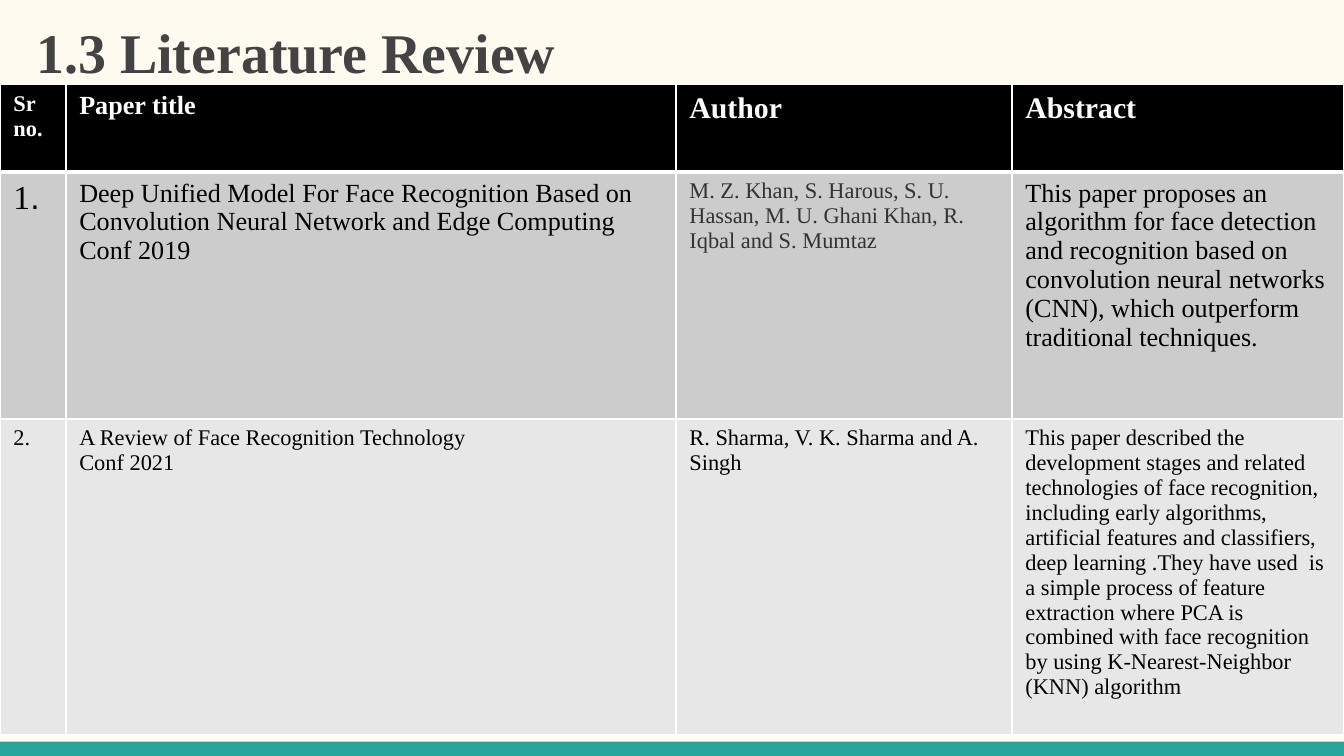
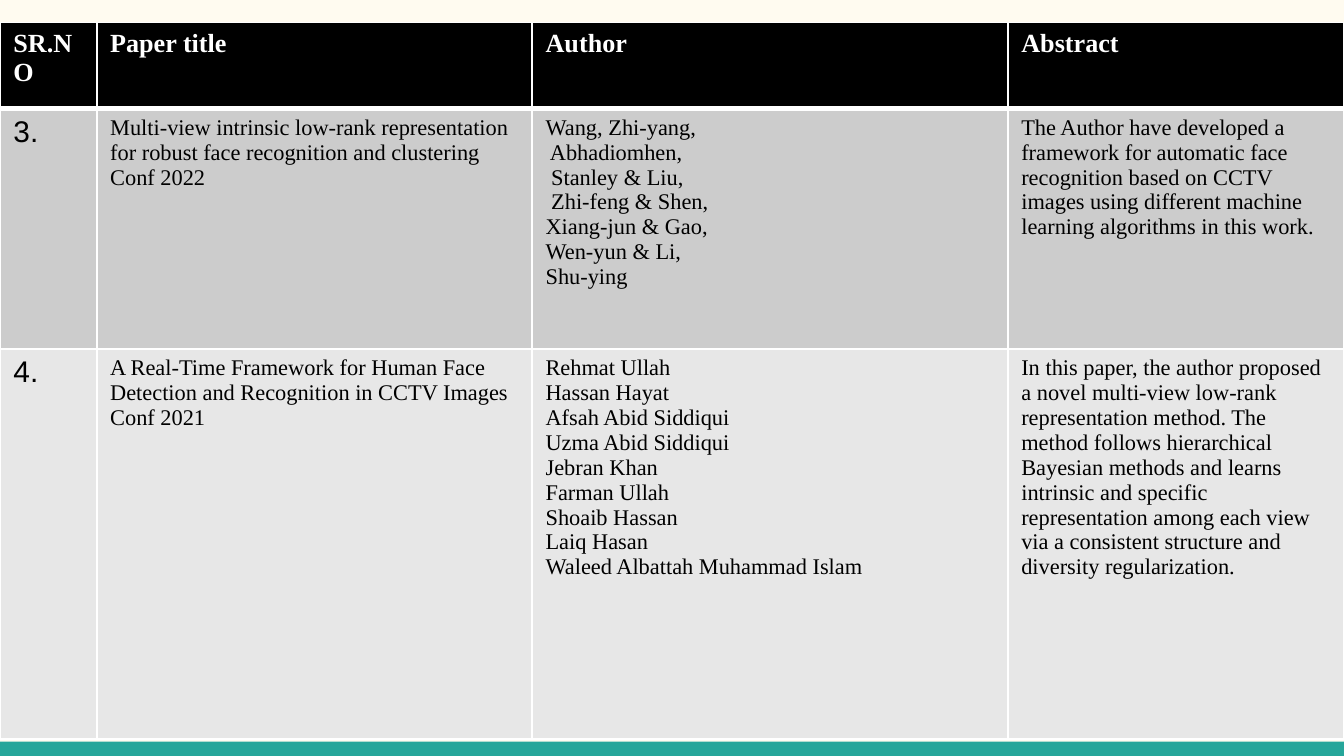
from collections import namedtuple
from dataclasses import dataclass

from pptx import Presentation
from pptx.dml.color import RGBColor as RGB
from pptx.enum.shapes import MSO_SHAPE as SHAPE
from pptx.oxml import parse_xml
from pptx.oxml.ns import nsdecls
from pptx.util import Inches, Pt


@dataclass(frozen=True)
class Theme:
    paper: str = "FFFBF0"
    band: str = "26A69A"
    title: str = "434343"
    ink: str = "000000"
    soft_ink: str = "333333"
    white: str = "FFFFFF"
    row_fills: tuple = ("000000", "CCCCCC", "E7E7E7")
    serif: str = "Times New Roman"
    sans: str = "Arial"
    title_pt: int = 30
    number_pt: int = 18
    large_pt: int = 16
    medium_pt: int = 14
    small_pt: int = 12
    rule_pt: int = 1
    header_rule_pt: int = 3


T = Theme()
Cell = namedtuple("Cell", "text size font color", defaults=(T.serif, None))

prs = Presentation()
prs.slide_width, prs.slide_height = Inches(10), Inches(5.625)
X, Y = prs.slide_width / 100, prs.slide_height / 100  # one percent of the slide


def style(p, size, font, color, bold):
    p.font.size, p.font.name, p.font.bold = Pt(size), font, bold
    p.font.color.rgb = RGB.from_string(color)


def add_borders(cell, row):
    """White rules on all four sides, thicker where the header meets the body."""
    widths = dict.fromkeys("LRTB", T.rule_pt)
    if row < 2:
        widths["B" if row == 0 else "T"] = T.header_rule_pt
    tcPr = cell._tc.get_or_add_tcPr()
    for i, (side, width) in enumerate(widths.items()):
        tcPr.insert(i, parse_xml(
            f'<a:ln{side} {nsdecls("a")} w="{Pt(width)}"><a:solidFill>'
            f'<a:srgbClr val="{T.white}"/></a:solidFill></a:ln{side}>'))


# Each review: title, table top, column widths and row heights in percent, cells
reviews = [
    ("1.3 Literature Review", 11.2, (4.9, 45.4, 25, 24.7), (11.56, 32.71, 41.78), [
        [Cell("Sr no.", T.small_pt), Cell("Paper title", T.medium_pt),
         Cell("Author", T.large_pt), Cell("Abstract", T.large_pt)],
        [Cell("1", T.number_pt),
         Cell("Deep Unified Model For Face Recognition Based on Convolution "
              "Neural Network and Edge Computing\nConf 2019", T.medium_pt),
         Cell("M. Z. Khan, S. Harous, S. U. Hassan, M. U. Ghani Khan, R. Iqbal "
              "and S. Mumtaz", T.small_pt, color=T.soft_ink),
         Cell("This paper proposes an algorithm for face detection and recognition "
              "based on convolution neural networks (CNN), which outperform "
              "traditional techniques.", T.medium_pt)],
        [Cell("2.", T.small_pt),
         Cell("A Review of Face Recognition Technology\nConf 2021", T.small_pt),
         Cell("R. Sharma, V. K. Sharma and A. Singh", T.small_pt),
         Cell("This paper described the development stages and related technologies "
              "of face recognition, including early algorithms, artificial features "
              "and classifiers, deep learning .They have used  is a simple process "
              "of feature extraction where PCA is combined with face recognition by "
              "using K-Nearest-Neighbor (KNN) algorithm", T.small_pt)],
    ]),
    (None, 3, (7.2, 32.4, 35.4, 25), (11.38, 31.82, 51.56), [
        [Cell(text, T.medium_pt)
         for text in ("SR.NO", "Paper title", "Author", "Abstract")],
        [Cell("3.", T.large_pt, T.sans),
         Cell("Multi-view intrinsic low-rank representation for robust face "
              "recognition and clustering\nConf 2022", T.small_pt),
         Cell("Wang, Zhi‐yang,\n Abhadiomhen,\n Stanley & Liu,\n Zhi‐feng & Shen,\n"
              "Xiang‐jun & Gao,\nWen‐yun & Li,\nShu‐ying", T.small_pt),
         Cell("The Author have developed a framework for automatic face recognition "
              "based on CCTV images using different machine learning algorithms in "
              "this work.", T.small_pt)],
        [Cell("4.", T.large_pt, T.sans),
         Cell("A Real-Time Framework for Human Face Detection and Recognition in "
              "CCTV Images Conf 2021", T.small_pt),
         Cell("Rehmat Ullah\nHassan Hayat\nAfsah Abid Siddiqui\nUzma Abid Siddiqui\n"
              "Jebran Khan\nFarman Ullah\nShoaib Hassan\nLaiq Hasan\n"
              "Waleed Albattah Muhammad Islam", T.small_pt),
         Cell("In this paper, the author proposed a novel multi-view low-rank "
              "representation method. The method follows hierarchical Bayesian "
              "methods and learns intrinsic and specific representation among each "
              "view via a consistent structure and diversity regularization.",
              T.small_pt)],
    ]),
]

fill = prs.slide_master.background.fill
fill.solid()
fill.fore_color.rgb = RGB.from_string(T.paper)

tables = []
for title, top, widths, heights, rows in reviews:
    s = prs.slides.add_slide(prs.slide_layouts[6])

    band = s.shapes.add_shape(SHAPE.RECTANGLE, 0, int(98.1 * Y), int(100 * X), int(1.9 * Y))
    band.shadow.inherit = False
    band.fill.solid()
    band.fill.fore_color.rgb = RGB.from_string(T.band)
    band.line.fill.background()

    if title:
        sp = s.shapes.add_textbox(int(1.7 * X), int(0.5 * Y), int(93.2 * X), int(12 * Y))
        tf = sp.text_frame
        tf.word_wrap = True
        tf.margin_left = tf.margin_right = tf.margin_top = tf.margin_bottom = Inches(0.1)
        tf.text = title
        style(tf.paragraphs[0], T.title_pt, T.serif, T.title, True)

    table = s.shapes.add_table(len(rows), len(widths), 0, int(top * Y),
                               int(100 * X), int(sum(heights) * Y)).table
    tables.append(table)
    for column, width in zip(table.columns, widths):
        column.width = int(width * X)
    for i, (height, row) in enumerate(zip(heights, rows)):
        table.rows[i].height = int(height * Y)
        for j, content in enumerate(row):
            cell = table.cell(i, j)
            cell.fill.solid()
            cell.fill.fore_color.rgb = RGB.from_string(T.row_fills[i])
            add_borders(cell, i)
            cell.text = content.text
            color = content.color or (T.ink if i else T.white)
            for p in cell.text_frame.paragraphs:
                style(p, content.size, content.font, color, i == 0)

# The full stop of the first number is set in the sans font
r = tables[0].cell(1, 0).text_frame.paragraphs[0].add_run()
r.text = "."
r.font.name = T.sans

prs.save("out.pptx")
